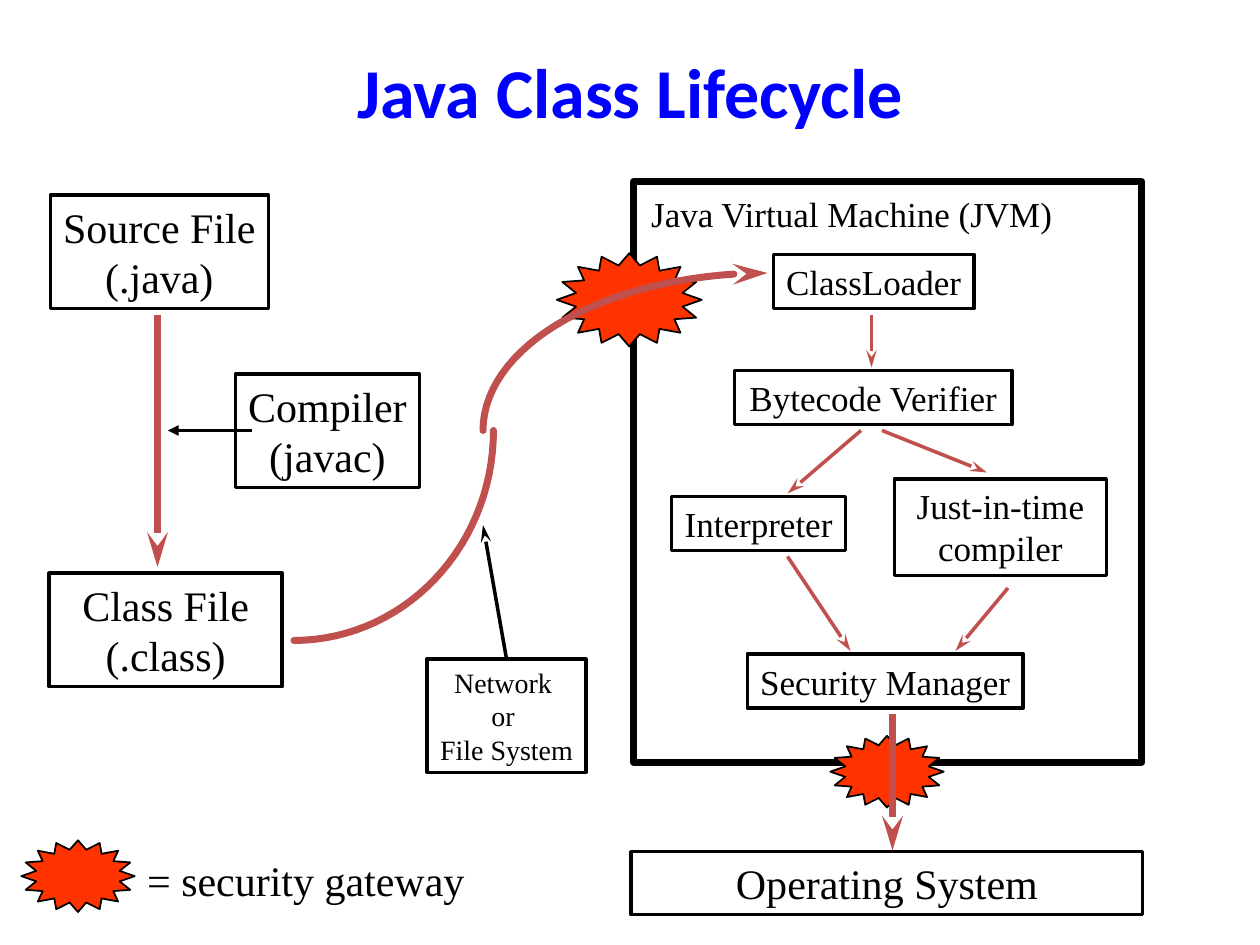
from math import cos, radians, sin

from lxml import etree
from pptx import Presentation
from pptx.dml.color import RGBColor
from pptx.enum.shapes import MSO_CONNECTOR, MSO_SHAPE
from pptx.enum.text import MSO_ANCHOR, MSO_AUTO_SIZE, PP_ALIGN
from pptx.oxml.ns import qn
from pptx.util import Pt

RECT, STAR = MSO_SHAPE.RECTANGLE, MSO_SHAPE.STAR_16_POINT
STRAIGHT = MSO_CONNECTOR.STRAIGHT
LEFT, CENTER = PP_ALIGN.LEFT, PP_ALIGN.CENTER
TOP, MIDDLE = MSO_ANCHOR.TOP, MSO_ANCHOR.MIDDLE
FIT = MSO_AUTO_SIZE.SHAPE_TO_FIT_TEXT

COLORS = {"title": "0000FF", "ink": "000000", "flow": "C0504D", "gateway": "FF3300"}
SERIF, SANS = "Times New Roman", "Calibri"

# text lines, (left, top, width, height), font size, wrap
BOXES = [
    (["Source File", "(.java)"], (28.8, 111.6, 124.6, 64.8), 24, False),
    (["Class File", "(.class)"], (28.1, 327.6, 133.2, 64.8), 24, True),
    (["Compiler", "(javac)"], (134.6, 213.8, 105.1, 64.8), 24, False),
    (["ClassLoader"], (442, 145.4, 114.5, 31), 20, False),
    (["Bytecode Verifier"], (419.8, 211.7, 158.4, 31), 20, False),
    (["Interpreter"], (383.8, 283.7, 99.4, 31), 20, False),
    (["Just-in-time compiler"], (511.2, 273.6, 121, 55.4), 20, True),
    (["Security Manager"], (427, 373.7, 157.7, 31), 20, False),
    (["Operating System"], (360.7, 486.7, 292.3, 36), 24, True),
]
GATEWAYS = [(318.2, 144.7, 82.8, 53.3), (474.5, 420.5, 64.8, 41), (12.2, 480.2, 64.8, 41)]
# start, end, line width
FLOWS = [
    ((90, 180), (90, 324), 4),
    ((498, 180), (498, 210), 2),
    ((492, 246), (450, 282), 2),
    ((504, 246), (564, 270), 2),
    ((576, 336), (546, 372), 2),
    ((450, 318), (486, 372), 2),
    ((510, 408), (510, 486), 4),
]


class Diagram:
    """Draws on one slide; all lengths are in points."""

    def __init__(self, slide):
        self.slide = slide
        self.shapes = slide.shapes

    def color(self, name):
        return RGBColor.from_string(COLORS[name])

    def stroke(self, sp, color, width):
        sp.line.color.rgb = self.color(color)
        sp.line.width = Pt(width)

    def head(self, sp, kind, length="lg"):
        ln = sp.line._get_or_add_ln()
        etree.SubElement(ln, qn("a:tailEnd"), type=kind, w="med", len=length)

    def text(self, sp, lines, size, wrap=True, align=CENTER, anchor=TOP,
             font=SERIF, color="ink", bold=False):
        tf = sp.text_frame
        frame = {"word_wrap": wrap, "auto_size": FIT, "vertical_anchor": anchor}
        for name, value in frame.items():
            setattr(tf, name, value)
        for i, line in enumerate(lines):
            p = tf.add_paragraph() if i else tf.paragraphs[0]
            p.alignment = align
            r = p.add_run()
            r.text = line
            for name, value in {"name": font, "size": Pt(size), "bold": bold}.items():
                setattr(r.font, name, value)
            r.font.color.rgb = self.color(color)

    def title(self, text, place):
        sp = self.shapes.title
        for name, value in zip(("left", "top", "width", "height"), place):
            setattr(sp, name, Pt(value))
        self.text(sp, [text], 40, anchor=MIDDLE, font=SANS, color="title", bold=True)

    def shape(self, kind, place, width, fill=None):
        sp = self.shapes.add_shape(kind, *map(Pt, place))
        sp.shadow.inherit = False
        if fill:
            sp.fill.solid()
            sp.fill.fore_color.rgb = self.color(fill)
        else:
            sp.fill.background()
        self.stroke(sp, "ink", width)
        return sp

    def box(self, lines, place, size, wrap):
        sp = self.shape(RECT, place, 2)
        self.text(sp, lines, size, wrap)
        return sp

    def gateway(self, place):
        self.shape(STAR, place, 1, "gateway")

    def label(self, text, place, size, wrap):
        sp = self.shapes.add_textbox(*map(Pt, place))
        self.text(sp, [text], size, wrap, LEFT)

    def arrow(self, start, end, width=2, color="flow", kind="stealth", length="lg"):
        cx = self.shapes.add_connector(STRAIGHT, *map(Pt, start + end))
        self.stroke(cx, color, width)
        self.head(cx, kind, length)
        etree.SubElement(cx._element.spPr, qn("a:effectLst"))
        return cx

    def quarter_arc(self, center, radii, first_angle, steps=30):
        """Open quarter ellipse, clockwise from first_angle in degrees."""
        angles = [radians(first_angle + 90 * i / steps) for i in range(steps + 1)]
        points = [(Pt(center[0] + radii[0] * cos(a)), Pt(center[1] + radii[1] * sin(a)))
                  for a in angles]
        builder = self.shapes.build_freeform(*points[0])
        builder.add_line_segments(points[1:], close=False)
        sp = builder.convert_to_shape()
        sp.shadow.inherit = False
        sp.fill.background()
        self.stroke(sp, "flow", 4)
        ln = sp.line._get_or_add_ln()
        ln.set("cap", "rnd")
        etree.SubElement(ln, qn("a:round"))
        return sp


def main():
    prs = Presentation()
    prs.slide_width, prs.slide_height = Pt(720), Pt(540)
    d = Diagram(prs.slides.add_slide(prs.slide_layouts[5]))

    d.title("Java Class Lifecycle", (54, 24, 612, 55.4))
    d.shape(RECT, (362.2, 103.7, 290.2, 331.9), 4)
    d.label("Java Virtual Machine (JVM)", (365, 106.6, 289.4, 31), 20, True)
    for box in BOXES:
        d.box(*box)
    for place in GATEWAYS:
        d.gateway(place)
    d.label("= security gateway", (77, 484.6, 195.8, 36), 24, False)

    d.quarter_arc((168, 246), (114, 120), 0)
    into_jvm = d.quarter_arc((438.5, 246), (162.5, 90), 180)
    d.head(into_jvm, "stealth")
    for flow in FLOWS:
        d.arrow(*flow)

    d.arrow((144, 246), (96, 246), color="ink", kind="triangle", length="med")
    network = d.box(["Network ", "or ", "File System"], (244.1, 376.6, 90.7, 64.8), 16, False)
    carrier = d.arrow((288, 378), (276, 300), color="ink")
    carrier.begin_connect(network, 0)

    prs.save("out.pptx")


if __name__ == "__main__":
    main()
